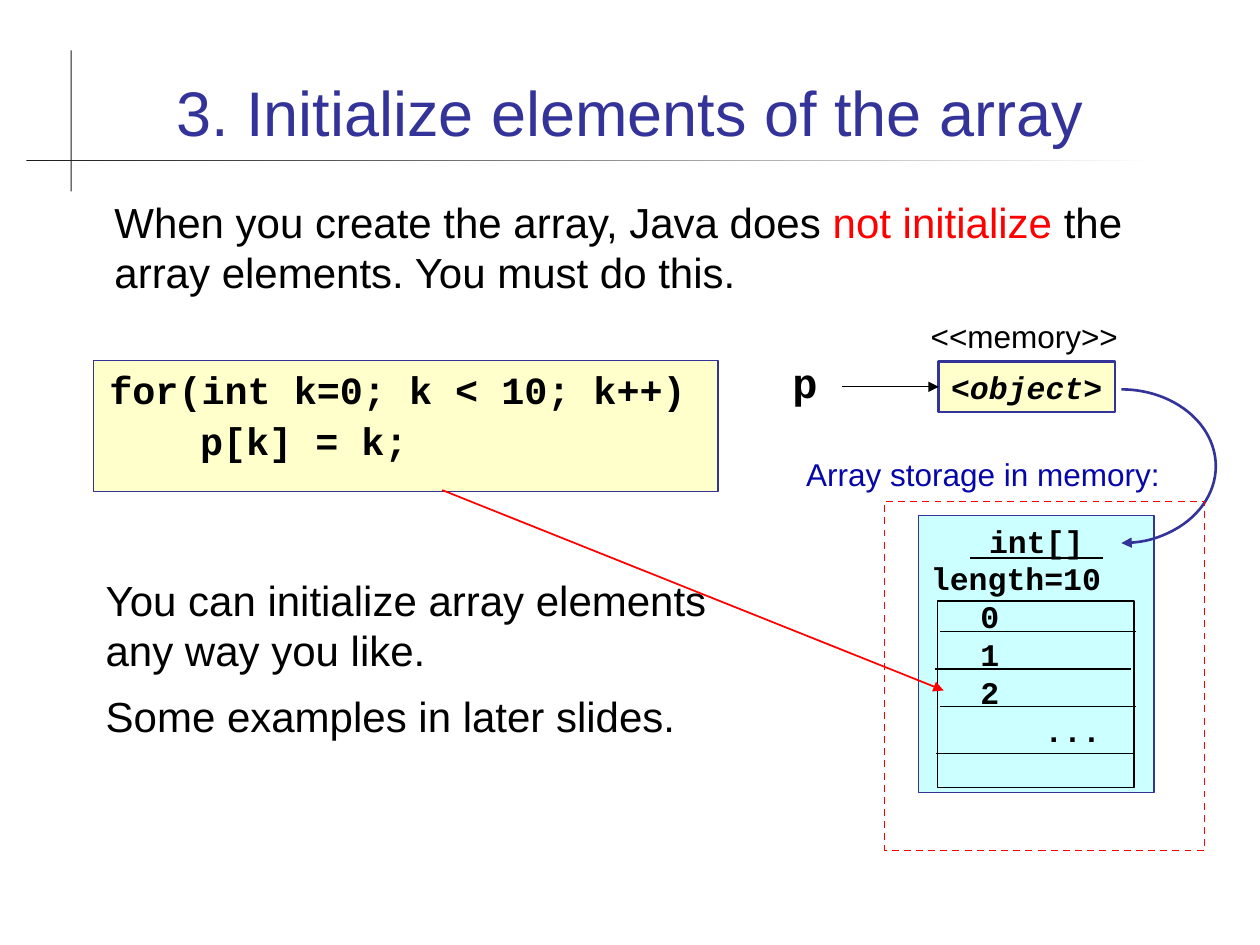
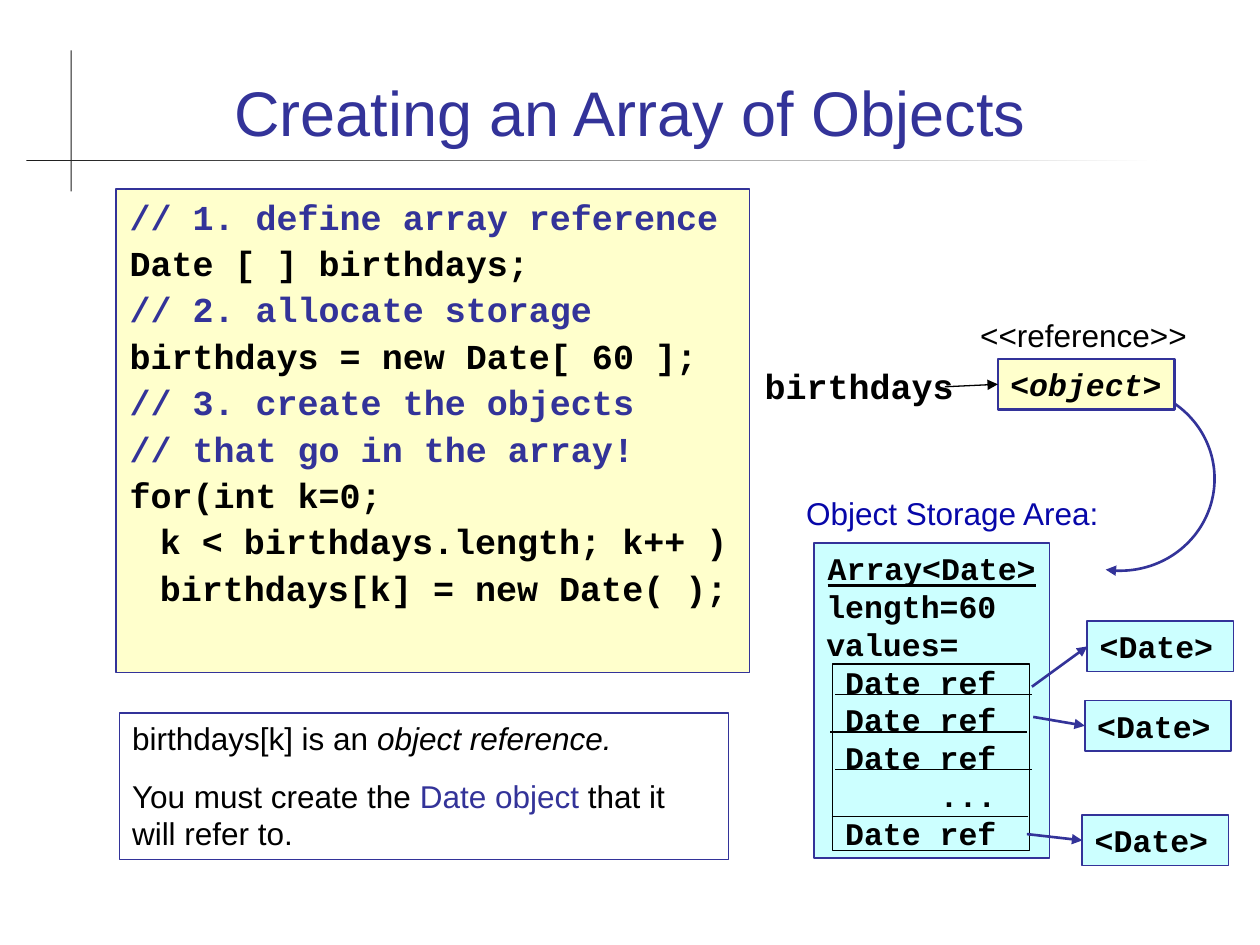
import pptx
import pptx.util
import pptx.dml.color
import pptx.enum.dml
import pptx.enum.shapes
import pptx.enum.text
import pptx.oxml
import pptx.oxml.ns
from lxml import etree

COLORS = {"navy": "333399", "label": "0707A9", "red": "FF0000", "black": "000000",
          "cream": "FFFFCC", "aqua": "CCFFFF", "rule": "1C1C1C", "white": "FFFFFF"}
RGB = {name: pptx.dml.color.RGBColor.from_string(value) for name, value in COLORS.items()}
SANS, MONO = "Arial", "Courier New"
CELL = pptx.util.Inches(0.1)  # the slide is a grid of 100 columns by 75 rows
Pt = pptx.util.Pt
SHAPES = pptx.enum.shapes.MSO_SHAPE
ALIGN = pptx.enum.text.PP_ALIGN
TAB_STEP = 3.93
TABS = [TAB_STEP * i for i in range(8)]
CODE_TABS = [0] + [2.5 + TAB_STEP * i for i in range(7)]
qn = pptx.oxml.ns.qn


def add_box(slide, place, lines=(), fill=None, line=None, weight=0.75, font=SANS, size=18,
            align=None, wrap=True, space=0, tabs=(), hanging=0):
    """Add a box at a grid place; each line is a string or a list of (text, font settings)."""
    place = [int(CELL * value) for value in place]
    if fill or line:
        shape = slide.shapes.add_shape(SHAPES.RECTANGLE, *place)
        shape.shadow.inherit = False
    else:
        shape = slide.shapes.add_textbox(*place)
    if fill:
        shape.fill.solid()
        shape.fill.fore_color.rgb = RGB[fill]
    else:
        shape.fill.background()
    if line:
        shape.line.color.rgb = RGB[line]
        shape.line.width = Pt(weight)
    else:
        shape.line.fill.background()
    frame = shape.text_frame
    frame.word_wrap = wrap
    frame.vertical_anchor = pptx.enum.text.MSO_ANCHOR.TOP
    for index, runs in enumerate(lines):
        paragraph = frame.add_paragraph() if index else frame.paragraphs[0]
        paragraph.alignment = ALIGN.LEFT
        if align and (index == 0 or align == "all"):
            paragraph.alignment = ALIGN.CENTER
        properties = paragraph._p.get_or_add_pPr()
        if hanging:
            properties.set("marL", str(int(CELL * 2.5)))
            properties.set("indent", str(int(-CELL * hanging)))
        if tabs:
            tab_list = etree.SubElement(properties, qn("a:tabLst"))
            for position in tabs:
                etree.SubElement(tab_list, qn("a:tab"), pos=str(int(CELL * position)), algn="l")
        if index:
            paragraph.space_before = Pt(space)
        for text, settings in [(runs, {})] if isinstance(runs, str) else runs:
            run = paragraph.add_run()
            run.text = text
            run.font.name = font
            run.font.size = Pt(size)
            run.font.bold = font == MONO
            run.font.italic = settings.get("italic")
            run.font.underline = settings.get("underline")
            run.font.color.rgb = RGB[settings.get("color", "black")]
    return shape


def add_line(slide, start, end, color="black", weight=0.75):
    ends = [int(CELL * value) for value in (*start, *end)]
    connector = slide.shapes.add_connector(pptx.enum.shapes.MSO_CONNECTOR.STRAIGHT, *ends)
    connector.line.color.rgb = RGB[color]
    connector.line.width = Pt(weight)
    etree.SubElement(connector.element.spPr, qn("a:effectLst"))
    return connector


presentation = pptx.Presentation()
presentation.slide_width = 100 * CELL
presentation.slide_height = 75 * CELL
title_only = presentation.slide_layouts[5]

diagrams = [
    {"title": "3. Initialize elements of the array",
     "card": (72.9, 40.9, 18.7, 22),
     "card_lines": [" int[] ", "length=10", "\t0", "\t1", "\t2", "      ..."],
     "cells": (74.4, 47.7), "arc": (81.5, 30.9, 15, 12.2), "arc_end": 90,
     "object": (74.5, 28.7), "caption": "<<memory>>", "caption_place": (70, 24.7, 22.6, 4),
     "label": "Array storage in memory:", "label_place": (63, 35.6, 33, 4),
     "variable": "p", "variable_size": 24, "variable_place": (61.9, 27.8, 4, 5),
     "arrow_start": (66.8, 30.7)},
    {"title": "Creating an Array of Objects",
     "card": (64.6, 43.1, 18.7, 25),
     "card_lines": ["Array<Date>", "length=60", "values=", *[" Date ref"] * 3,
                    "      ...", " Date ref"],
     "cells": (66.1, 52.7), "arc": (81.4, 30.7, 15, 14.6), "arc_end": 99,
     "object": (79.2, 28.5), "caption": "<<reference>>", "caption_place": (76.8, 24.6, 18.4, 4),
     "label": "Object Storage Area:", "label_place": (63, 38.7, 27.7, 4),
     "variable": "birthdays", "variable_size": 20, "variable_place": (59.7, 28.4, 17, 4.4),
     "arrow_start": (75, 30.7)},
]

slides, arrows = [], []
for diagram in diagrams:
    slide = presentation.slides.add_slide(title_only)
    slides.append(slide)

    # Crossing rules and title
    add_box(slide, (5.6, 4, 0.1, 11.2), fill="rule")
    rule = add_box(slide, (2.1, 12.7, 89.7, 0.1), fill="rule")
    rule.fill.gradient()
    rule.fill.gradient_angle = 0
    for stop, color in zip(rule.fill.gradient_stops, ("rule", "white")):
        stop.color.rgb = RGB[color]
    title = slide.shapes.title
    title.left, title.top, title.width, title.height = [
        int(CELL * value) for value in (6.7, 2.8, 86.6, 9.5)]
    title.text_frame.text = diagram["title"]
    title.text_frame.auto_size = pptx.enum.text.MSO_AUTO_SIZE.NONE
    title.text_frame.vertical_anchor = pptx.enum.text.MSO_ANCHOR.BOTTOM
    paragraph = title.text_frame.paragraphs[0]
    paragraph.alignment = ALIGN.CENTER
    font = paragraph.runs[0].font
    font.name, font.size, font.color.rgb = SANS, Pt(36), RGB["navy"]

    # Array card with its element cells
    heading, *fields = diagram["card_lines"]
    add_box(slide, diagram["card"], [[(heading, {"underline": True})], *fields],
            fill="aqua", line="navy", font=MONO, align="first", tabs=TABS)
    left, top = diagram["cells"]
    add_box(slide, (left, top, 15.6, 14.8), line="black")
    for shift, drop in ((0.2, 2.4), (-0.2, 5.4), (0.2, 8.4), (-0.1, 12.1)):
        add_line(slide, (left + shift, top + drop), (left + shift + 15.6, top + drop))
    add_box(slide, diagram["label_place"], [[(diagram["label"], {"color": "label"})]])

    # Curve from the reference to the array
    arc = slide.shapes.add_shape(SHAPES.ARC, *[int(CELL * value) for value in diagram["arc"]])
    arc.shadow.inherit = False
    arc.adjustments[1] = diagram["arc_end"] * 0.6
    arc.fill.background()
    arc.line.color.rgb = RGB["navy"]
    arc.line.width = Pt(1.5)

    # Variable and the reference it holds
    reference = add_box(slide, (*diagram["object"], 14, 4),
                        [[("<", {}), ("object", {"italic": True}), (">", {})]],
                        fill="cream", line="navy", weight=1.5, font=MONO, wrap=False)
    add_box(slide, diagram["caption_place"], [diagram["caption"]], align="all")
    add_box(slide, diagram["variable_place"], [diagram["variable"]],
            font=MONO, size=diagram["variable_size"], wrap=False)
    pointer = add_line(slide, diagram["arrow_start"], diagram["object"])
    pointer.end_connect(reference, 1)
    arrows += [arc, pointer]

initialize, objects = slides

# Slide 1: loop that fills the elements
add_box(initialize, (7.4, 28.6, 49.6, 10.4), ["for(int k=0; k < 10; k++)", "\t\tp[k] = k;"],
        fill="cream", line="navy", font=MONO, size=22, space=2.5, tabs=CODE_TABS, hanging=2.2)
add_box(initialize, (8.1, 15.1, 83.9, 9),
        [[("When you create the array, Java does ", {}), ("not initialize", {"color": "red"}),
          (" the array elements. You must do this.", {})]], size=24)
add_box(initialize, (7.4, 45.1, 52.5, 14.3),
        ["You can initialize array elements any way you like.",
         "Some examples in later slides."], size=24, space=9)
storage = add_box(initialize, (70.2, 39.8, 25.4, 27.7), line="red", weight=1)
storage.line.dash_style = pptx.enum.dml.MSO_LINE.DASH
arrows.append(add_line(initialize, (35.1, 38.9), (74.9, 54.8), "red", 1))

# Slide 2: code, remark and the created objects
comment = {"color": "navy"}
add_box(objects, (9.2, 15, 50.3, 38.4),
        [[("// 1. define array reference", comment)],
         "Date [ ] birthdays;",
         [("// 2. allocate storage", comment)],
         "birthdays = new Date[ 60 ];",
         [("// 3. create the objects", comment)],
         [("// that go in the array!", comment)],
         "for(int k=0;",
         "\tk < birthdays.length; k++ )",
         "\tbirthdays[k] = new Date( );"],
        fill="cream", line="navy", font=MONO, size=20, space=2.5, tabs=CODE_TABS, hanging=2.4)
add_box(objects, (9.5, 56.6, 48.3, 11.6),
        [[("birthdays[k] is an ", {}), ("object reference.", {"italic": True})],
         [("You must create the ", {}), ("Date object", {"color": "navy"}),
          (" that it will refer to.", {})]], line="navy", space=11.2)
for date_left, date_top, start in ((86.3, 49.3, (81.9, 54.5)), (86.1, 55.6, (82, 56.9)),
                                   (85.9, 64.7, (81.5, 66.2))):
    date = add_box(objects, (date_left, date_top, 11.6, 4), ["<Date>"],
                   fill="aqua", line="navy", weight=1, font=MONO)
    arrow = add_line(objects, start, (date_left, date_top), "navy", 1.5)
    arrow.end_connect(date, 1)
    arrows.append(arrow)

for arrow in arrows:
    etree.SubElement(arrow.element.spPr.find(qn("a:ln")), qn("a:tailEnd"), type="triangle")

presentation.save("out.pptx")
